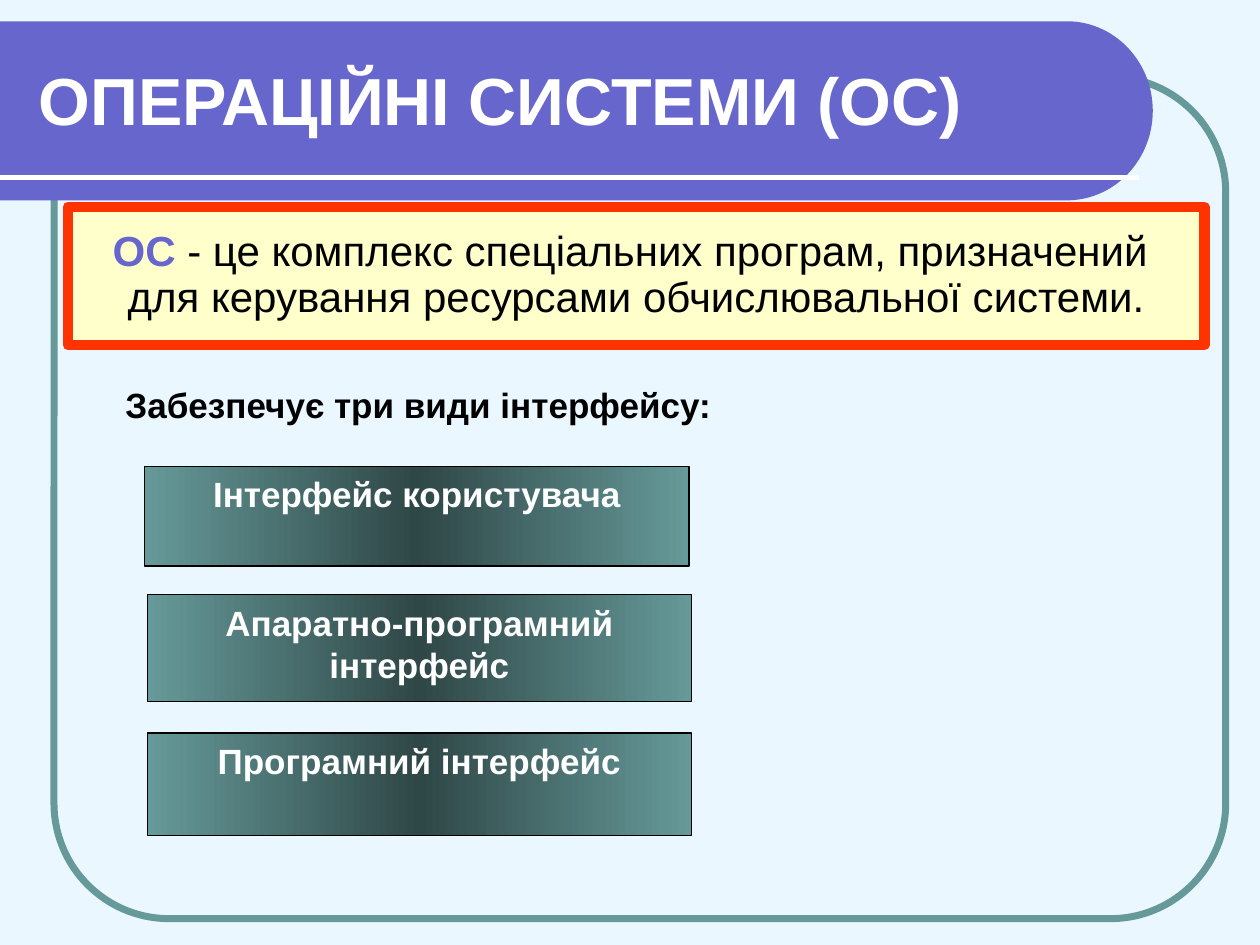
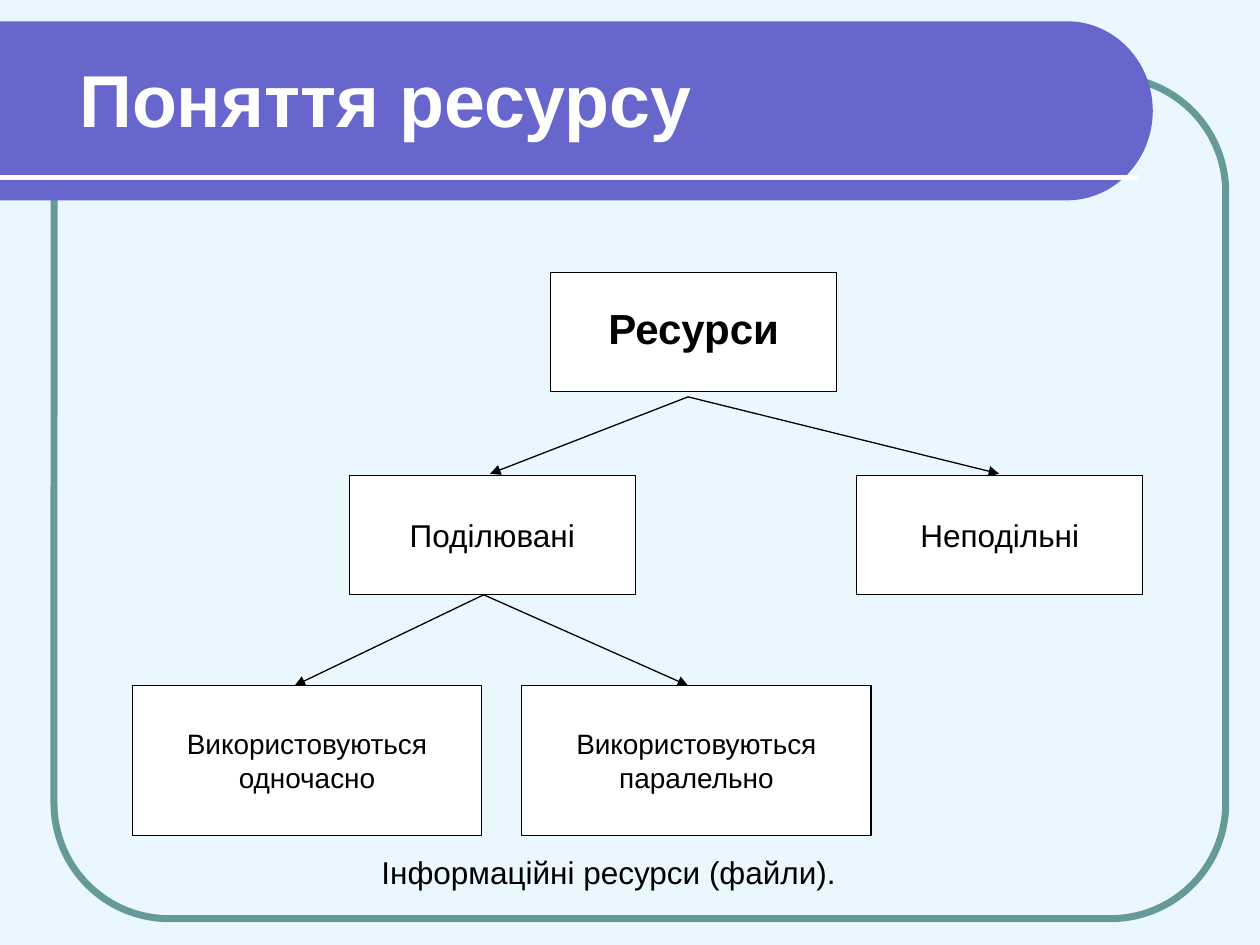
from copy import deepcopy
from dataclasses import dataclass
from math import cos, pi, sin

from pptx import Presentation
from pptx.dml.color import RGBColor
from pptx.enum.shapes import MSO_CONNECTOR as Connector
from pptx.enum.shapes import MSO_SHAPE as Preset
from pptx.enum.text import MSO_ANCHOR as Anchor
from pptx.enum.text import PP_ALIGN as Align
from pptx.oxml.ns import qn
from pptx.oxml.xmlchemy import OxmlElement
from pptx.shapes.autoshape import Shape
from pptx.shapes.connector import Connector as ConnectorShape
from pptx.slide import Slide
from pptx.util import Cm, Pt

FONT = "Arial"
BACKGROUND = "EBF7FF"
VIOLET = "6666CC"
TEAL = "669999"
DARK_TEAL = "2F4747"
CREAM = "FFFFCC"
RED = "FF3300"
WHITE = "FFFFFF"
BLACK = "000000"
INSET_X, INSET_Y = 0.25, 0.13


@dataclass(frozen=True)
class Box:
    """A rectangle in centimetres."""
    left: float
    top: float
    width: float
    height: float

    def lengths(self) -> tuple[Cm, Cm, Cm, Cm]:
        return Cm(self.left), Cm(self.top), Cm(self.width), Cm(self.height)


@dataclass(frozen=True)
class Run:
    text: str
    color: str = BLACK
    bold: bool = False


@dataclass(frozen=True)
class Node:
    text: str
    box: Box
    size: int
    bold: bool = False
    lift: float = 0


@dataclass(frozen=True)
class Fork:
    """Arrows that leave one point for several ends on the same level."""
    start: tuple[float, float]
    end_y: float
    ends_x: tuple[float, ...]


FRAME = Box(1.09, 1.55, 23.62, 16.97)
BAND_TOP, BAND_HEIGHT, BAND_STRAIGHT, BAND_RIGHT = 0.43, 3.61, 21.51, 23.24
RULE_Y, RULE_END = 3.58, 22.96
TITLE = Box(0.53, 0.64, 22.28, 2.54)

DEFINITION = [
    [Run("ОС", VIOLET, True), Run(" - це комплекс спеціальних програм, призначений ")],
    [Run("для керування ресурсами обчислювальної системи.")],
]
INTERFACES = [
    ("Інтерфейс користувача", Box(2.92, 9.4, 10.97, 2.01)),
    ("Апаратно-програмний інтерфейс", Box(2.97, 11.99, 10.97, 2.16)),
    ("Програмний інтерфейс", Box(2.97, 14.78, 10.97, 2.06)),
]
RESOURCES = [
    Node("Ресурси", Box(11.1, 5.49, 5.77, 2.41), 24, True, 0.18),
    Node("Поділювані", Box(7.04, 9.58, 5.77, 2.41), 18),
    Node("Неподільні", Box(17.27, 9.58, 5.77, 2.41), 18),
    Node("Використовуються одночасно", Box(2.67, 13.82, 7.04, 3.02), 16),
    Node("Використовуються паралельно", Box(10.52, 13.82, 7.04, 3.02), 16),
]
FORKS = [
    Fork((13.87, 8.0), 9.55, (9.88, 20.14)),
    Fork((9.75, 11.99), 13.82, (5.94, 13.87)),
]


def rgb(color: str) -> RGBColor:
    return RGBColor.from_string(color)


def write(shape: Shape, paragraphs: list[list[Run]], *, size: int,
          align: Align = Align.LEFT, anchor: Anchor = Anchor.TOP, spacing: float = 1.0,
          indent: float = 0, drop: float = 0, lift: float = 0, wrap: bool = True) -> None:
    """Fill a shape with text; indent, drop and lift widen the left, top and bottom insets."""
    frame = shape.text_frame
    frame.word_wrap = wrap
    frame.vertical_anchor = anchor
    frame.margin_left, frame.margin_right = Cm(INSET_X + indent), Cm(INSET_X)
    frame.margin_top, frame.margin_bottom = Cm(INSET_Y + drop), Cm(INSET_Y + lift)
    for index, runs in enumerate(paragraphs):
        paragraph = frame.add_paragraph() if index else frame.paragraphs[0]
        paragraph.alignment = align
        paragraph.line_spacing = spacing
        for item in runs:
            run = paragraph.add_run()
            run.text = item.text
            run.font.name = FONT
            run.font.size = Pt(size)
            run.font.bold = item.bold
            run.font.color.rgb = rgb(item.color)


def add_label(slide: Slide, box: Box, run: Run, **text_format) -> None:
    write(slide.shapes.add_textbox(*box.lengths()), [[run]], **text_format)


def add_box(slide: Slide, box: Box, *, fill: str | None = None, line: str = BLACK,
            line_width: float = 0.75, preset: Preset = Preset.RECTANGLE) -> Shape:
    shape = slide.shapes.add_shape(preset, *box.lengths())
    shape.shadow.inherit = False
    if fill:
        shape.fill.solid()
        shape.fill.fore_color.rgb = rgb(fill)
    else:
        shape.fill.background()
    shape.line.color.rgb = rgb(line)
    shape.line.width = Pt(line_width)
    return shape


def fill_gradient(shape: Shape, colors: list[str]) -> None:
    """Spread the colours evenly from left to right."""
    shape.fill.gradient()
    shape.fill.gradient_angle = 0
    stop_list = shape.element.spPr.find(qn("a:gradFill")).find(qn("a:gsLst"))
    while len(stop_list) < len(colors):
        stop_list.append(deepcopy(stop_list[-1]))
    for index, (stop, color) in enumerate(zip(shape.fill.gradient_stops, colors)):
        stop.position = index / (len(colors) - 1)
        stop.color.rgb = rgb(color)


def add_line(slide: Slide, start: tuple[float, float], end: tuple[float, float], *,
             color: str = BLACK, width: float = 0.75) -> ConnectorShape:
    points = [Cm(value) for value in (*start, *end)]
    line = slide.shapes.add_connector(Connector.STRAIGHT, *points)
    line.line.color.rgb = rgb(color)
    line.line.width = Pt(width)
    line.element.spPr.append(OxmlElement("a:effectLst"))
    return line


def add_arrow(slide: Slide, start: tuple[float, float], end: tuple[float, float]) -> None:
    arrow = add_line(slide, start, end)
    head = OxmlElement("a:tailEnd")
    head.set("type", "triangle")
    arrow.line._get_or_add_ln().append(head)


def add_band(slide: Slide) -> None:
    """Draw the title band with its half-round right end."""
    radius_x, radius_y = BAND_RIGHT - BAND_STRAIGHT, BAND_HEIGHT / 2
    steps = 60
    angles = [pi * step / steps - pi / 2 for step in range(steps + 1)]
    arc = [(Cm(BAND_STRAIGHT + radius_x * cos(angle)),
            Cm(BAND_TOP + radius_y * (1 + sin(angle)))) for angle in angles]
    builder = slide.shapes.build_freeform(0, Cm(BAND_TOP))
    builder.add_line_segments([*arc, (0, Cm(BAND_TOP + BAND_HEIGHT))], close=True)
    band = builder.convert_to_shape()
    band.shadow.inherit = False
    band.fill.solid()
    band.fill.fore_color.rgb = rgb(VIOLET)
    band.line.fill.background()


def add_base_slide(presentation: Presentation, title: str, size: int,
                   indent: float = 0) -> Slide:
    slide = presentation.slides.add_slide(presentation.slide_layouts[6])
    slide.background.fill.solid()
    slide.background.fill.fore_color.rgb = rgb(BACKGROUND)
    frame = add_box(slide, FRAME, line=TEAL, line_width=4, preset=Preset.ROUNDED_RECTANGLE)
    frame.adjustments[0] = 0.137
    add_band(slide)
    add_line(slide, (0, RULE_Y), (RULE_END, RULE_Y), color=WHITE, width=3)
    add_label(slide, TITLE, Run(title, WHITE, True), size=size,
              anchor=Anchor.MIDDLE, indent=indent, drop=0.15)
    return slide


def build_systems_slide(presentation: Presentation) -> None:
    slide = add_base_slide(presentation, "ОПЕРАЦІЙНІ СИСТЕМИ (ОС)", 38)
    for text, box in INTERFACES:
        button = add_box(slide, box)
        fill_gradient(button, [TEAL, DARK_TEAL, TEAL])
        write(button, [[Run(text, WHITE, True)]], size=20, align=Align.CENTER)
    definition = add_box(slide, Box(1.37, 4.17, 22.91, 2.79),
                         fill=CREAM, line=RED, line_width=6)
    write(definition, DEFINITION, size=24, align=Align.CENTER,
          anchor=Anchor.MIDDLE, spacing=0.9, wrap=False)
    add_label(slide, Box(1.5, 7.7, 22.71, 2.31),
              Run("Забезпечує три види інтерфейсу:", bold=True),
              size=20, spacing=0.9, indent=0.78)


def build_resources_slide(presentation: Presentation) -> None:
    slide = add_base_slide(presentation, "Поняття ресурсу", 42, indent=0.82)
    for node in RESOURCES:
        shape = add_box(slide, node.box, fill=WHITE)
        write(shape, [[Run(node.text, bold=node.bold)]], size=node.size,
              align=Align.CENTER, anchor=Anchor.MIDDLE, lift=node.lift)
    for fork in FORKS:
        for end_x in fork.ends_x:
            add_arrow(slide, fork.start, (end_x, fork.end_y))
    add_label(slide, Box(7.44, 17.07, 10.69, 1.02),
              Run("Інформаційні ресурси (файли)."), size=18)


def main() -> None:
    presentation = Presentation()
    presentation.slide_width, presentation.slide_height = Cm(25.4), Cm(19.05)
    build_systems_slide(presentation)
    build_resources_slide(presentation)
    presentation.save("out.pptx")


if __name__ == "__main__":
    main()
